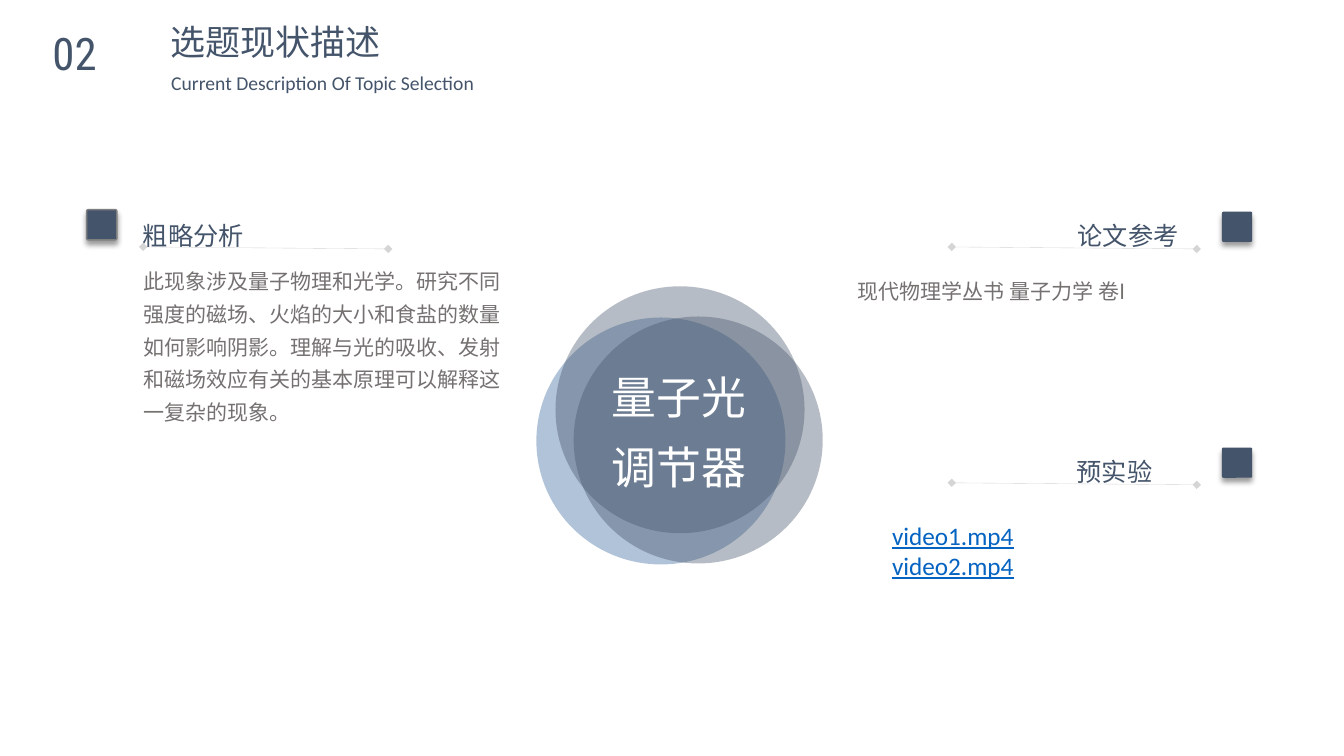
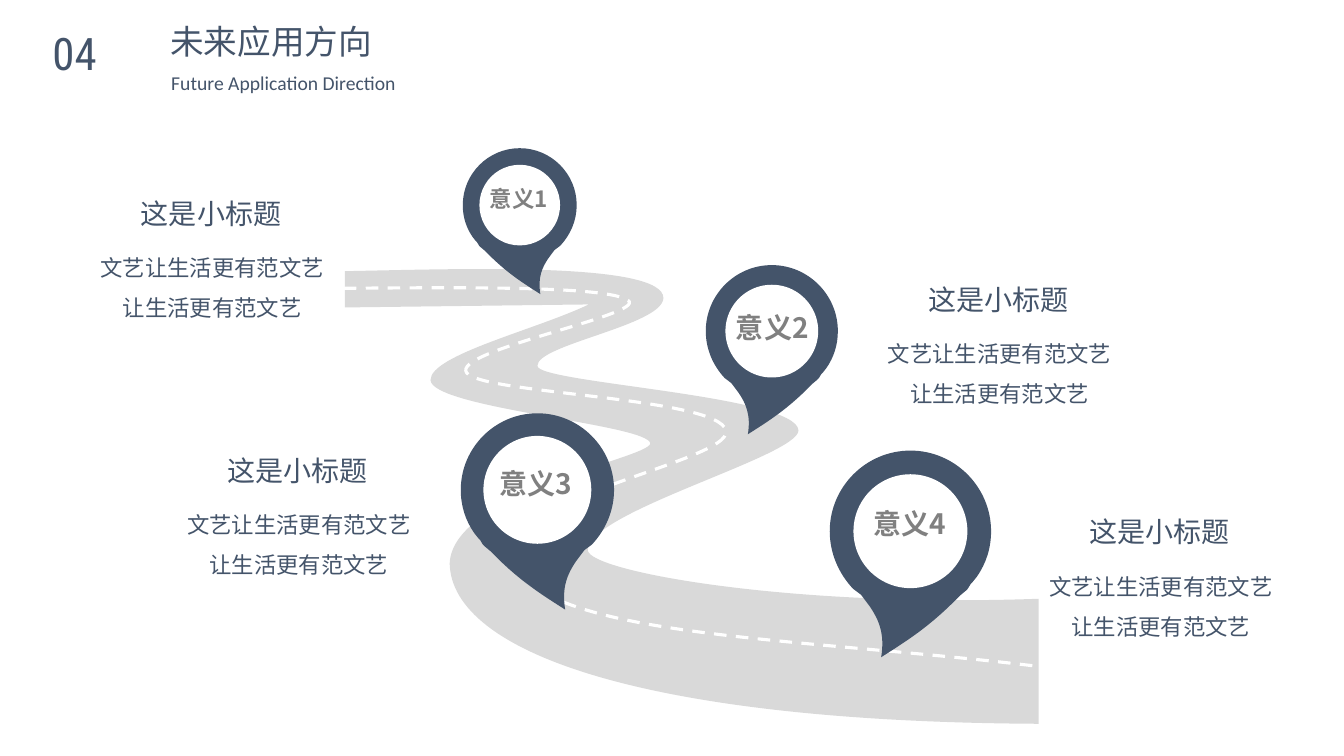
import lxml.etree
import pptx
import pptx.dml.color
import pptx.enum.dml
import pptx.enum.shapes
import pptx.enum.text
import pptx.oxml.ns
import pptx.util

Inches = pptx.util.Inches
Pt = pptx.util.Pt
qn = pptx.oxml.ns.qn
color = pptx.dml.color.RGBColor.from_string
SubElement = lxml.etree.SubElement
SHAPE = pptx.enum.shapes.MSO_SHAPE
CENTER = pptx.enum.text.PP_ALIGN.CENTER
JUSTIFY = pptx.enum.text.PP_ALIGN.JUSTIFY
GROW = pptx.enum.text.MSO_AUTO_SIZE.SHAPE_TO_FIT_TEXT

NAVY, BLUE, WHITE = "44546A", "35669B", "FFFFFF"
GRAY, WARM_GRAY, ROAD_GRAY, LINK = "808080", "767171", "D9D9D9", "0563C1"
CJK, LATIN, NUMERAL = "Noto Sans CJK SC", "Calibri", "Roboto Condensed"


def add_text(page, area, lines, size, ink, face=CJK, align=None, spacing=None,
             bold=None, underline=None, inset=True, wrap=True):
    """Place a text box with one paragraph for each line."""
    box = page.shapes.add_textbox(*map(Inches, area))
    frame = box.text_frame
    frame.word_wrap = wrap
    frame.auto_size = GROW
    if not inset:
        frame.margin_left = frame.margin_right = 0
        frame.margin_top = frame.margin_bottom = 0
    frame.text = lines
    for para in frame.paragraphs:
        para.alignment = align
        para.line_spacing = spacing
        font = para.font
        font.size, font.name = Pt(size), face
        font.bold, font.underline = bold, underline
        font.color.rgb = color(ink)
        SubElement(font._element, qn("a:ea")).set("typeface", face)


def add_outline(page, start, steps, closed=True):
    """Draw straight steps (one point) and Bezier steps (three points)."""
    builder = page.shapes.build_freeform(*map(Inches, start))
    builder.add_line_segments([tuple(map(Inches, step[-1])) for step in steps], close=closed)
    shape = builder.convert_to_shape()
    shape.shadow.inherit = False
    # Turn the lines that have control points into curves
    segments = list(shape._element.spPr.iter(qn("a:lnTo")))
    for segment, step in zip(segments, steps):
        if len(step) == 3:
            segment_end = segment[0]
            curve = lxml.etree.Element(qn("a:cubicBezTo"))
            for x, y in step[:2]:
                SubElement(curve, qn("a:pt"), x=str(Inches(x) - shape.left),
                           y=str(Inches(y) - shape.top))
            segment.getparent().replace(segment, curve)
            curve.append(segment_end)
    return shape


deck = pptx.Presentation()
deck.slide_width, deck.slide_height = Inches(13.33), Inches(7.5)
topic_page, future_page = [deck.slides.add_slide(deck.slide_layouts[6]) for _ in range(2)]

# Topic: overlapping circles
for left, top, fill in ((5.32, 3.15, BLUE), (5.51, 2.84, NAVY), (5.69, 3.14, NAVY)):
    circle = topic_page.shapes.add_shape(
        SHAPE.OVAL, Inches(left), Inches(top), Inches(2.47), Inches(2.45))
    circle.shadow.inherit = False
    circle.fill.solid()
    circle.fill.fore_color.rgb = color(fill)
    circle.line.fill.background()
    tone = circle._element.spPr.find(".//" + qn("a:srgbClr"))
    SubElement(tone, qn("a:alpha")).set("val", "39000")
add_text(topic_page, (5.9, 3.46, 1.67, 1.43), "量子光调节器", 32, WHITE,
         align=CENTER, spacing=1.3)

# Topic: headings with a square marker and a diamond-ended rule
for heading, heading_left, top, width, marker_left, marker_top, rule_left in (
    ("粗略分析", 1.32, 2.05, 1.27, 0.86, 2.08, 1.42),
    ("论文参考", 10.59, 2.05, 1.27, 12.12, 2.1, 9.44),
    ("预实验", 10.58, 4.39, 1.02, 12.12, 4.44, 9.44),
):
    marker = topic_page.shapes.add_shape(
        SHAPE.ROUNDED_RECTANGLE, Inches(marker_left), Inches(marker_top),
        Inches(0.3), Inches(0.3))
    marker.adjustments[0] = 0.05
    marker.fill.solid()
    marker.fill.fore_color.rgb = color(NAVY)
    if heading == "粗略分析":
        marker.line.color.rgb = color("7F7F7F")
        marker.line.width = Pt(1)
    else:
        marker.line.fill.background()
    marker.shadow.inherit = False
    effects = marker._element.spPr.find(qn("a:effectLst"))
    shadow = SubElement(effects, qn("a:outerShdw"), blurRad=str(Pt(4)), dist=str(Pt(3)),
                        dir="5400000", algn="t", rotWithShape="0")
    shade = SubElement(shadow, qn("a:srgbClr"), val="000000")
    SubElement(shade, qn("a:alpha"), val="40000")

    add_text(topic_page, (heading_left, top, width, 0.49), heading, 18, NAVY,
             spacing=1.3, wrap=False)

    rule = topic_page.shapes.add_connector(
        pptx.enum.shapes.MSO_CONNECTOR.STRAIGHT, Inches(rule_left), Inches(top + 0.4),
        Inches(rule_left + 2.43), Inches(top + 0.42))
    rule.line.color.rgb = color(GRAY)
    rule.line.width = Pt(0.25)
    properties = rule._element.spPr
    SubElement(properties.find(".//" + qn("a:srgbClr")), qn("a:alpha"), val="33000")
    for end in ("a:headEnd", "a:tailEnd"):
        SubElement(properties.find(qn("a:ln")), qn(end), type="diamond")
    SubElement(properties, qn("a:effectLst"))

# Topic: body texts
add_text(topic_page, (1.33, 2.54, 3.86, 1.71),
         "此现象涉及量子物理和光学。研究不同强度的磁场、火焰的大小和食盐的数量如何影响阴影。"
         "理解与光的吸收、发射和磁场效应有关的基本原理可以解释这一复杂的现象。",
         15, WARM_GRAY, spacing=1.3)
add_text(topic_page, (8.41, 2.64, 3.86, 0.4), "现代物理学丛书 量子力学 卷I",
         15, WARM_GRAY, spacing=1.3)
add_text(topic_page, (8.75, 5.11, 3.67, 0.71), "video1.mp4\nvideo2.mp4",
         18, LINK, LATIN, underline=True)

# Future: winding road and its dashed centre line
road = add_outline(future_page, (3.42, 3.05), [
    [(3.42, 2.69)],
    [(4.5, 2.67), (6.59, 2.59), (6.58, 2.96)],
    [(6.56, 3.23), (5.32, 3.42), (5.33, 3.63)],
    [(5.33, 3.8), (7.9, 3.92), (7.92, 4.27)],
    [(7.91, 4.53), (5.82, 5.08), (5.83, 5.46)],
    [(5.85, 5.67), (7.84, 6.03), (10.3, 5.94)],
    [(10.3, 7.18)],
    [(6.38, 7.16), (4.48, 6.47), (4.46, 5.59)],
    [(4.49, 4.88), (6.43, 4.55), (6.45, 4.4)],
    [(6.44, 4.21), (4.28, 4.05), (4.27, 3.77)],
    [(4.27, 3.52), (5.32, 3.27), (5.84, 3.02)],
])
road.fill.solid()
road.fill.fore_color.rgb = color(ROAD_GRAY)
road.line.fill.background()

lane = add_outline(future_page, (3.41, 2.86), [
    [(4.72, 2.85), (6.03, 2.84), (6.23, 2.98)],
    [(6.43, 3.12), (4.46, 3.48), (4.63, 3.7)],
    [(4.79, 3.91), (7.12, 3.94), (7.2, 4.27)],
    [(7.29, 4.59), (4.61, 4.99), (5.12, 5.66)],
    [(5.63, 6.33), (7.96, 6.33), (10.29, 6.61)],
], closed=False)
lane.fill.background()
lane.line.color.rgb = color(WHITE)
lane.line.width = Pt(2.25)
lane.line.dash_style = pptx.enum.dml.MSO_LINE.DASH

# Future: map pins, outlined once at the width of the largest
PIN_WIDTH = 1.6
PIN_STEPS = [
    [(0.8, 0)],
    [(1.24, 0), (1.6, 0.36), (1.6, 0.8)],
    [(1.6, 0.97), (1.55, 1.12), (1.46, 1.25)],
    [(1.42, 1.3)],
    [(1.4, 1.32)],
    [(1.37, 1.37)],
    [(1.35, 1.39)],
    [(1.29, 1.44)],
    [(0.99, 1.75), (0.76, 1.89), (0.51, 2.05)],
    [(0.55, 1.81), (0.48, 1.67), (0.4, 1.55)],
    [(0.31, 1.43)],
    [(0.23, 1.37)],
    [(0.09, 1.22), (0, 1.02), (0, 0.8)],
    [(0, 0.36), (0.36, 0), (0.8, 0)],
]
for left, top, width, hole_width, mirrored in (
    (8.23, 4.47, 1.6, 1.13, False),
    (7, 2.63, 1.31, 0.92, False),
    (4.57, 4.1, 1.52, 1.07, True),
    (4.59, 1.47, 1.13, 0.8, True),
):
    scale = width / PIN_WIDTH
    start, *steps = [
        [(left + scale * (PIN_WIDTH - x if mirrored else x), top + scale * y)
         for x, y in step]
        for step in PIN_STEPS]
    pin = add_outline(future_page, start[0], steps)
    margin = (width - hole_width) / 2
    hole = future_page.shapes.add_shape(
        SHAPE.OVAL, Inches(left + margin), Inches(top + margin),
        Inches(hole_width), Inches(hole_width))
    hole.shadow.inherit = False
    for shape, fill in ((pin, NAVY), (hole, WHITE)):
        shape.fill.solid()
        shape.fill.fore_color.rgb = color(fill)
        shape.line.fill.background()

# Future: pin labels
for label, size, area in (
    ("意义1", 16, (4.74, 1.79, 0.81, 0.37)),
    ("意义2", 20, (7.09, 3.03, 1.14, 0.44)),
    ("意义3", 20, (4.74, 4.58, 1.14, 0.44)),
    ("意义4", 20, (8.45, 4.98, 1.14, 0.44)),
):
    add_text(future_page, area, label, size, GRAY, align=CENTER, bold=True)

# Future: captions beside the pins
for left, top in ((0.85, 1.9), (8.66, 2.75), (1.71, 4.45), (10.26, 5.06)):
    add_text(future_page, (left + 0.45, top, 1.67, 0.44), "这是小标题", 20, NAVY)
    add_text(future_page, (left, top + 0.44, 2.51, 0.86),
             "文艺让生活更有范文艺让生活更有范文艺", 16, NAVY, align=CENTER, spacing=1.5)

# Shared page headers
for page, number, title, title_size, title_top, subtitle, subtitle_width in (
    (topic_page, "02", "选题现状描述", 25, 0.2,
     "Current Description Of Topic Selection", 3.24),
    (future_page, "04", "未来应用方向", 24, 0.21, "Future Application Direction", 2.45),
):
    add_text(page, (0.52, 0.26, 0.48, 0.54), number, 32, NAVY, NUMERAL,
             align=JUSTIFY, inset=False)
    add_text(page, (1.69, title_top, 3.1, 0.42), title, title_size, NAVY, inset=False)
    add_text(page, (1.6, 0.65, subtitle_width, 0.34), subtitle, 14, NAVY, LATIN, wrap=False)

deck.save("out.pptx")
